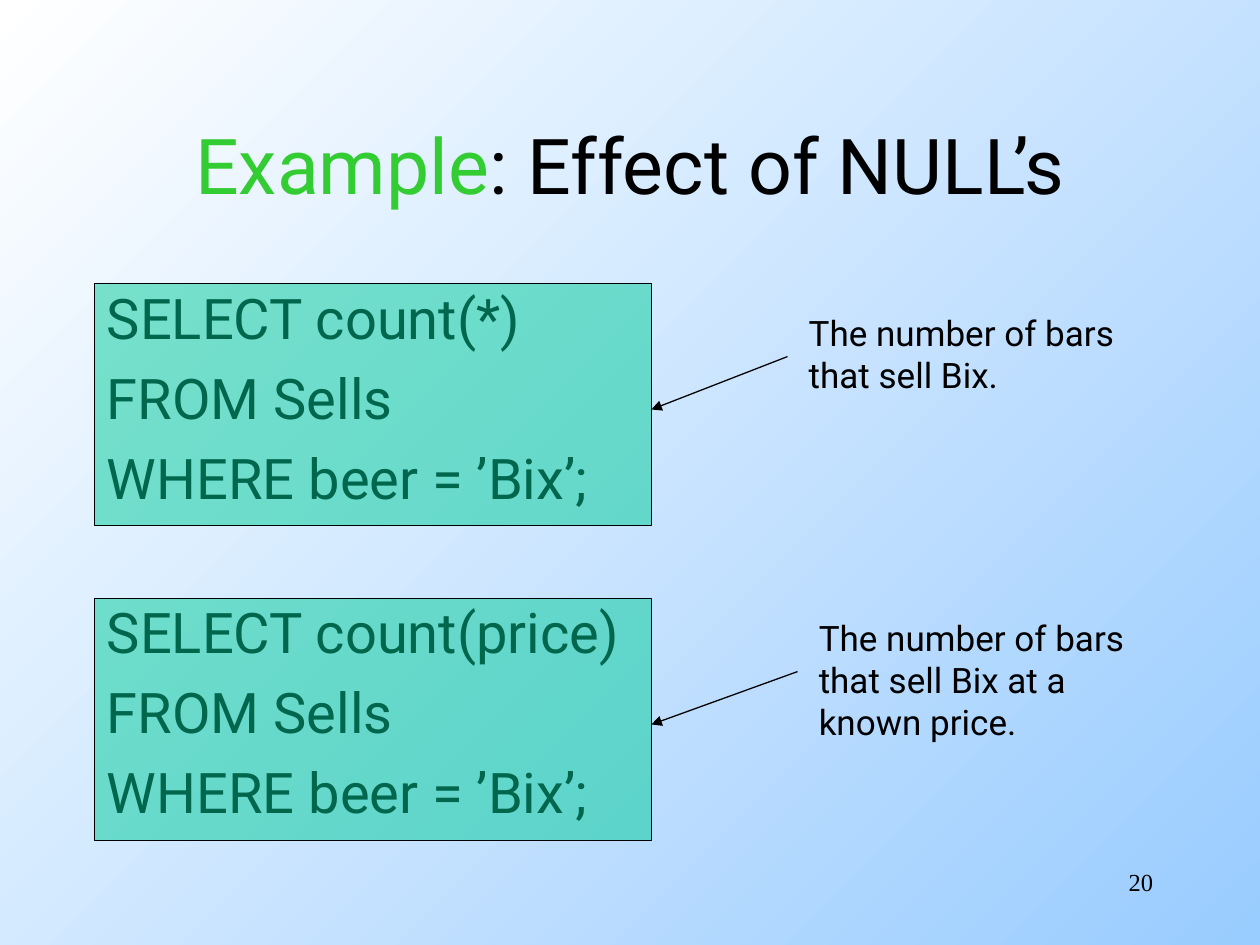
from dataclasses import dataclass

from lxml.etree import SubElement
from pptx import Presentation
from pptx.dml.color import RGBColor
from pptx.enum.shapes import MSO_CONNECTOR as CONN, MSO_SHAPE as SHAPE
from pptx.enum.text import MSO_ANCHOR as ANCHOR, PP_ALIGN as ALIGN
from pptx.oxml.ns import qn
from pptx.util import Inches, Pt


@dataclass(frozen=True)
class Theme:
    black: RGBColor = RGBColor(0x00, 0x00, 0x00)
    white: RGBColor = RGBColor(0xFF, 0xFF, 0xFF)
    sky: RGBColor = RGBColor(0x99, 0xCC, 0xFF)
    green: RGBColor = RGBColor(0x33, 0xCC, 0x33)
    teal: RGBColor = RGBColor(0x00, 0xCC, 0x99)
    font: str = "Roboto"
    number_font: str = "Times New Roman"
    title: int = 44
    code: int = 32
    note: int = 20
    number: int = 14
    code_gap: float = 7.4
    line: float = 0.75


class SlideBuilder:
    def __init__(self, slide, theme):
        self.slide = slide
        self.theme = theme

    def background(self):
        fill = self.slide.background.fill
        fill.gradient()
        fill.gradient_angle = 315
        for stop, color in zip(fill.gradient_stops, (self.theme.white, self.theme.sky)):
            stop.color.rgb = color

    def text(self, x, y, w, h, lines, size, font=None, align=ALIGN.LEFT,
             anchor=ANCHOR.TOP, gap=0, wrap=True):
        """Each line is a list of (text, color) runs."""
        tf = self.slide.shapes.add_textbox(
            Inches(x), Inches(y), Inches(w), Inches(h)).text_frame
        tf.word_wrap = wrap
        tf.vertical_anchor = anchor
        for i, runs in enumerate(lines):
            p = tf.add_paragraph() if i else tf.paragraphs[0]
            p.alignment = align
            p.space_after = Pt(gap)
            p.font.size = Pt(size)
            p.font.name = font or self.theme.font
            for text, color in runs:
                r = p.add_run()
                r.text = text
                r.font.color.rgb = color

    def plain(self, x, y, w, h, lines, size, **options):
        self.text(x, y, w, h, [[(t, self.theme.black)] for t in lines], size, **options)

    def tinted_box(self, x, y, w, h):
        s = self.slide.shapes.add_shape(
            SHAPE.RECTANGLE, Inches(x), Inches(y), Inches(w), Inches(h))
        s.shadow.inherit = False
        s.fill.solid()
        s.fill.fore_color.rgb = self.theme.teal
        color = s.fill._xPr.find(qn("a:solidFill"))[0]
        SubElement(color, qn("a:alpha"), val="50000")
        s.line.color.rgb = self.theme.black
        s.line.width = Pt(self.theme.line)

    def arrow(self, x1, y1, x2, y2):
        s = self.slide.shapes.add_connector(
            CONN.STRAIGHT, Inches(x1), Inches(y1), Inches(x2), Inches(y2))
        s.line.color.rgb = self.theme.black
        s.line.width = Pt(self.theme.line)
        SubElement(s.line._get_or_add_ln(), qn("a:tailEnd"), type="triangle")
        SubElement(s._element.spPr, qn("a:effectLst"))


def main():
    theme = Theme()
    prs = Presentation()
    prs.slide_width, prs.slide_height = Inches(10), Inches(7.5)
    sb = SlideBuilder(prs.slides.add_slide(prs.slide_layouts[6]), theme)
    sb.background()

    # Page number and title
    sb.plain(7.17, 6.83, 2.08, 0.5, ["20"], theme.number,
             font=theme.number_font, align=ALIGN.RIGHT)
    sb.text(0.75, 0.67, 8.5, 1.25,
            [[("Example", theme.green), (": Effect of NULL’s", theme.black)]],
            theme.title, align=ALIGN.CENTER, anchor=ANCHOR.MIDDLE)

    # Queries: code under a tinted box, with an arrow from its explanation
    left, width, height = 0.75, 4.42, 1.92
    right = left + width
    queries = [
        # selected value, code top, box top, note x, note y, arrow x, note
        ("*", 2.2, 2.25, 6.32, 2.42, 6.25,
         ["The number of bars", "that sell Bix."]),
        ("price", 4.69, 4.75, 6.4, 4.84, 6.33,
         ["The number of bars", "that sell Bix at a", "known price."]),
    ]
    for value, code_y, box_y, note_x, note_y, arrow_x, note in queries:
        code = [f"SELECT count({value})", "FROM Sells", "WHERE beer = ’Bix’;"]
        sb.plain(left, code_y, 8.5, height, code, theme.code, gap=theme.code_gap)
        sb.tinted_box(left, box_y, width, height)
        sb.plain(note_x, note_y, 2.63, 0.1 + 0.33 * len(note), note, theme.note,
                 wrap=False)
        sb.arrow(arrow_x, box_y + 0.58, right, box_y + 1)

    prs.save("out.pptx")


if __name__ == "__main__":
    main()
